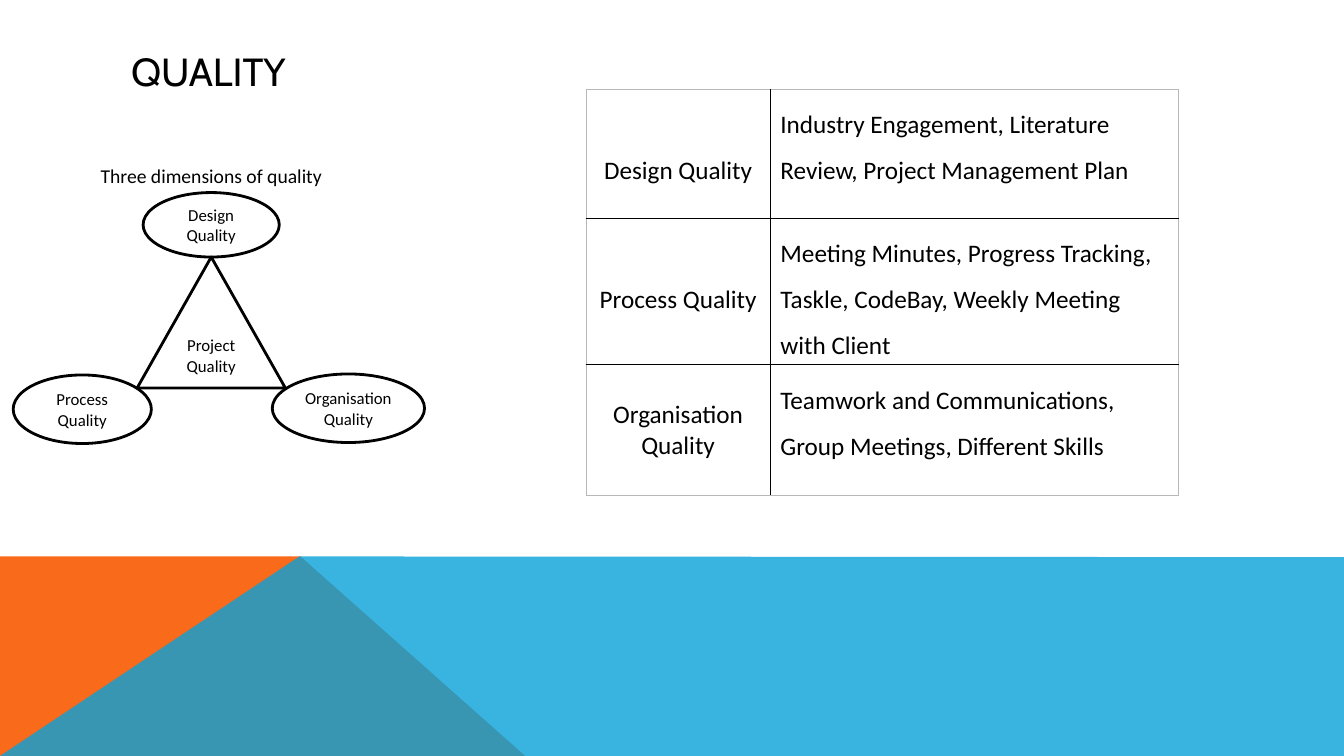
from dataclasses import dataclass

from lxml.etree import SubElement
from pptx import Presentation
from pptx.dml.color import RGBColor
from pptx.enum.shapes import MSO_SHAPE
from pptx.enum.text import MSO_ANCHOR, PP_ALIGN
from pptx.oxml.ns import qn
from pptx.util import Inches, Pt


@dataclass(frozen=True)
class Theme:
    ink: str = "000000"
    paper: str = "FFFFFF"
    edge: str = "B8B8B8"
    warm: str = "F96A1B"
    cool: str = "08A1D9"
    head: str = "Cabin"
    body: str = "Calibri"
    title: int = 28
    cell: int = 18
    label: int = 14
    node: int = 12
    line: int = 2


THEME = Theme()
WIDE, HIGH = Inches(13.33), Inches(7.5)


# Lengths are percentages of the slide's width and height
def across(share):
    return round(WIDE * share / 100)


def down(share):
    return round(HIGH * share / 100)


def box(x, y, w, h):
    return across(x), down(y), across(w), down(h)


def paint(fill, color):
    fill.solid()
    fill.fore_color.rgb = RGBColor.from_string(color)


def write(frame, text, size, font=THEME.body, align=PP_ALIGN.LEFT, space=None):
    frame.text = text
    para = frame.paragraphs[0]
    para.alignment = align
    para.line_spacing = space
    for run in para.runs:
        run.font.size, run.font.name = Pt(size), font
        run.font.bold = False
        run.font.color.rgb = RGBColor.from_string(THEME.ink)


def add_band(slide, points, color, alpha=None):
    start, *rest = [(across(x), down(y)) for x, y in points]
    pen = slide.shapes.build_freeform(*start)
    pen.add_line_segments(rest, close=True)
    band = pen.convert_to_shape()
    band.shadow.inherit = False
    band.line.fill.background()
    paint(band.fill, color)
    if alpha:
        tint = next(band.fill._xPr.iter(qn("a:srgbClr")))
        SubElement(tint, qn("a:alpha")).set("val", str(alpha * 1000))


def add_title(slide, text, place):
    title = slide.shapes.title
    title.left, title.top, title.width, title.height = place
    title.text_frame.vertical_anchor = MSO_ANCHOR.MIDDLE
    write(title.text_frame, text, THEME.title, THEME.head)


def add_node(slide, kind, text, place):
    node = slide.shapes.add_shape(kind, *place)
    node.shadow.inherit = False
    paint(node.fill, THEME.paper)
    paint(node.line.fill, THEME.ink)
    node.line.width = Pt(THEME.line)
    frame = node.text_frame
    frame.word_wrap = True
    frame.vertical_anchor = MSO_ANCHOR.MIDDLE
    frame.margin_left = frame.margin_right = Inches(0.05)
    write(frame, text, THEME.node, align=PP_ALIGN.CENTER)


def add_label(slide, text, place):
    label = slide.shapes.add_textbox(*place)
    label.text_frame.word_wrap = False
    write(label.text_frame, text, THEME.label)


def add_border(cell, sides):
    props = cell._tc.get_or_add_tcPr()
    for tag, inner in sides:
        width, color = (Pt(1), THEME.ink) if inner else (Pt(0.5), THEME.edge)
        line = SubElement(props, qn(f"a:{tag}"), w=str(width))
        fill = SubElement(line, qn("a:solidFill"))
        SubElement(fill, qn("a:srgbClr"), val=color)


def add_grid(slide, rows, x, y, cols, highs):
    place = box(x, y, sum(cols), sum(highs))
    table = slide.shapes.add_table(len(rows), len(cols), *place).table
    table.first_row = table.horz_banding = False
    for col, width in zip(table.columns, cols):
        col.width = across(width)
    for row, high in zip(table.rows, highs):
        row.height = down(high)
    for r, (name, text, space) in enumerate(rows):
        left, right = table.cell(r, 0), table.cell(r, 1)
        write(left.text_frame, name, THEME.cell,
              align=PP_ALIGN.CENTER, space=space)
        if space is None:
            left.vertical_anchor = MSO_ANCHOR.MIDDLE
        write(right.text_frame, text, THEME.cell, space=1.5)
        for c, cell in enumerate((left, right)):
            add_border(cell, (("lnL", c > 0), ("lnR", c < len(cols) - 1),
                              ("lnT", r > 0), ("lnB", r < len(rows) - 1)))
            cell.fill.background()


def main():
    deck = Presentation()
    deck.slide_width, deck.slide_height = WIDE, HIGH
    slide = deck.slides.add_slide(deck.slide_layouts[5])

    # Coloured bands along the foot
    add_band(slide, [(0, 100), (0, 73.6), (22.36, 73.6), (39.08, 100)],
             THEME.warm)
    add_band(slide, [(0, 100), (22.28, 73.6), (100, 73.7), (100, 100)],
             THEME.cool, 80)

    add_title(slide, "QUALITY", box(9, 5.33, 82.3, 8))

    # Triangle of quality dimensions
    oval = MSO_SHAPE.OVAL
    for kind, text, place in (
        (oval, "Design Quality", (10.65, 25.47, 10.13, 8.53)),
        (oval, "Process Quality", (0.98, 49.6, 10.28, 9.07)),
        (oval, "Organisation Quality", (20.26, 49.47, 11.33, 9.07)),
        (MSO_SHAPE.ISOSCELES_TRIANGLE, "Project Quality",
         (10.2, 34, 11.03, 17.33)),
    ):
        add_node(slide, kind, text, box(*place))
    add_label(slide, "Three dimensions of quality",
              box(6.75, 21.07, 18, 4.53))

    # Table of measures: name, measures, line spacing of the name
    rows = (
        ("Design Quality", "Industry Engagement, Literature Review, "
         "Project Management Plan", 3.0),
        ("Process Quality", "Meeting Minutes, Progress Tracking, "
         "Taskle, CodeBay, Weekly Meeting with Client", 3.0),
        ("Organisation Quality", "Teamwork and Communications, "
         "Group Meetings, Different Skills", None),
    )
    add_grid(slide, rows, 43.59, 11.8, (13.73, 30.38), (17.07, 19.4, 17.27))

    deck.save("out.pptx")


if __name__ == "__main__":
    main()
